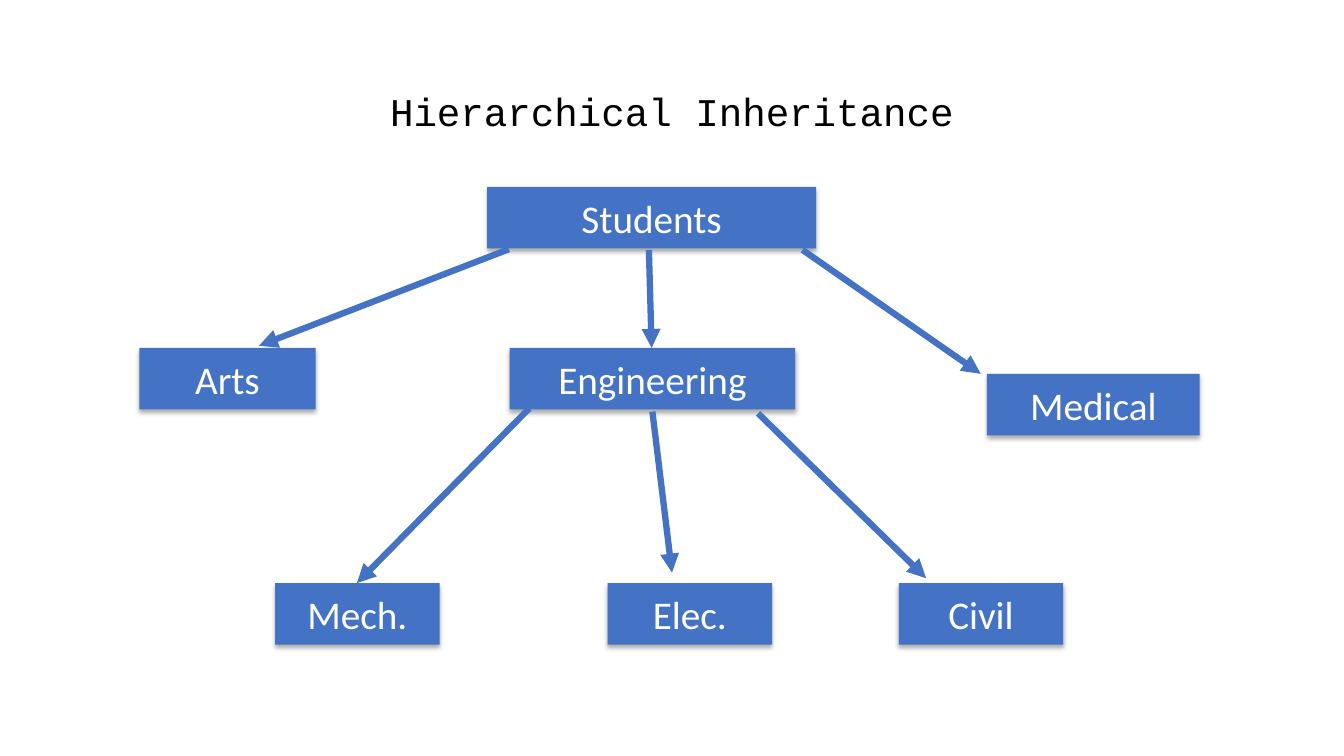
import pptx
import pptx.util
import pptx.dml.color
import pptx.enum.shapes
import pptx.enum.text
import pptx.oxml
import pptx.oxml.ns

Pt = pptx.util.Pt
COLOURS = {"blue": "4472C4", "white": "FFFFFF", "black": "000000"}
BOX_HEIGHT = 44
DRAWING = pptx.oxml.ns.nsdecls("a")


def colour(name):
    return pptx.dml.color.RGBColor.from_string(COLOURS[name])


def write(shape, text, font, ink):
    frame = shape.text_frame
    frame.word_wrap = True
    frame.vertical_anchor = pptx.enum.text.MSO_ANCHOR.MIDDLE
    para = frame.paragraphs[0]
    para.text = text
    para.alignment = pptx.enum.text.PP_ALIGN.CENTER
    para.font.name = font
    para.font.size = Pt(28)
    para.font.color.rgb = colour(ink)
    return para


deck = pptx.Presentation()
deck.slide_width, deck.slide_height = Pt(960), Pt(540)
page = deck.slides.add_slide(deck.slide_layouts[6])

# Title
title = page.shapes.add_textbox(Pt(66), Pt(28.75), Pt(828), Pt(104.4))
write(title, "Hierarchical Inheritance", "Courier New", "black").line_spacing = 0.9

# Class boxes: text, left, top, width
classes = [
    ("Students", 348, 133.5, 235),
    ("Engineering", 364, 248.5, 204),
    ("Arts", 99.5, 248.5, 126),
    ("Medical", 705, 267, 152),
    ("Mech.", 196.5, 416.5, 117.5),
    ("Elec.", 434, 416.5, 117.5),
    ("Civil", 642, 416.5, 117.5),
]
for text, left, top, width in classes:
    box = page.shapes.add_shape(
        pptx.enum.shapes.MSO_SHAPE.RECTANGLE, Pt(left), Pt(top), Pt(width), Pt(BOX_HEIGHT))
    box.fill.solid()
    box.fill.fore_color.rgb = colour("blue")
    box.line.fill.background()
    write(box, text, "Calibri", "white")

    # Soft shadow straight below the box
    box.shadow.inherit = False
    effects = box._element.spPr.find(pptx.oxml.ns.qn("a:effectLst"))
    effects.append(pptx.oxml.parse_xml(
        f'<a:outerShdw {DRAWING} blurRad="{Pt(3.5)}" dist="{Pt(2.2)}" dir="5400000" '
        f'algn="ctr" rotWithShape="0"><a:srgbClr val="{COLOURS["black"]}">'
        '<a:alpha val="32000"/></a:srgbClr></a:outerShdw>'))

# Arrows from parent to child: start x, start y, end x, end y
arrows = [
    (378, 291.75, 255, 416.5),    # Engineering to Mech.
    (541.5, 295.25, 661.5, 413),  # Engineering to Civil
    (466, 294, 480, 409),         # Engineering to Elec.
    (463.5, 178.5, 465.5, 248.5), # Students to Engineering
    (363.5, 178, 185, 247),       # Students to Arts
    (573.25, 178.5, 700.5, 267),  # Students to Medical
]
for ends in arrows:
    arrow = page.shapes.add_connector(
        pptx.enum.shapes.MSO_CONNECTOR.STRAIGHT, *(Pt(end) for end in ends))
    arrow.line.color.rgb = colour("blue")
    arrow.line.width = Pt(4.5)
    arrow.line._get_or_add_ln().append(
        pptx.oxml.parse_xml(f'<a:tailEnd {DRAWING} type="triangle"/>'))
    arrow._element.spPr.append(pptx.oxml.parse_xml(f"<a:effectLst {DRAWING}/>"))

deck.save("out.pptx")
